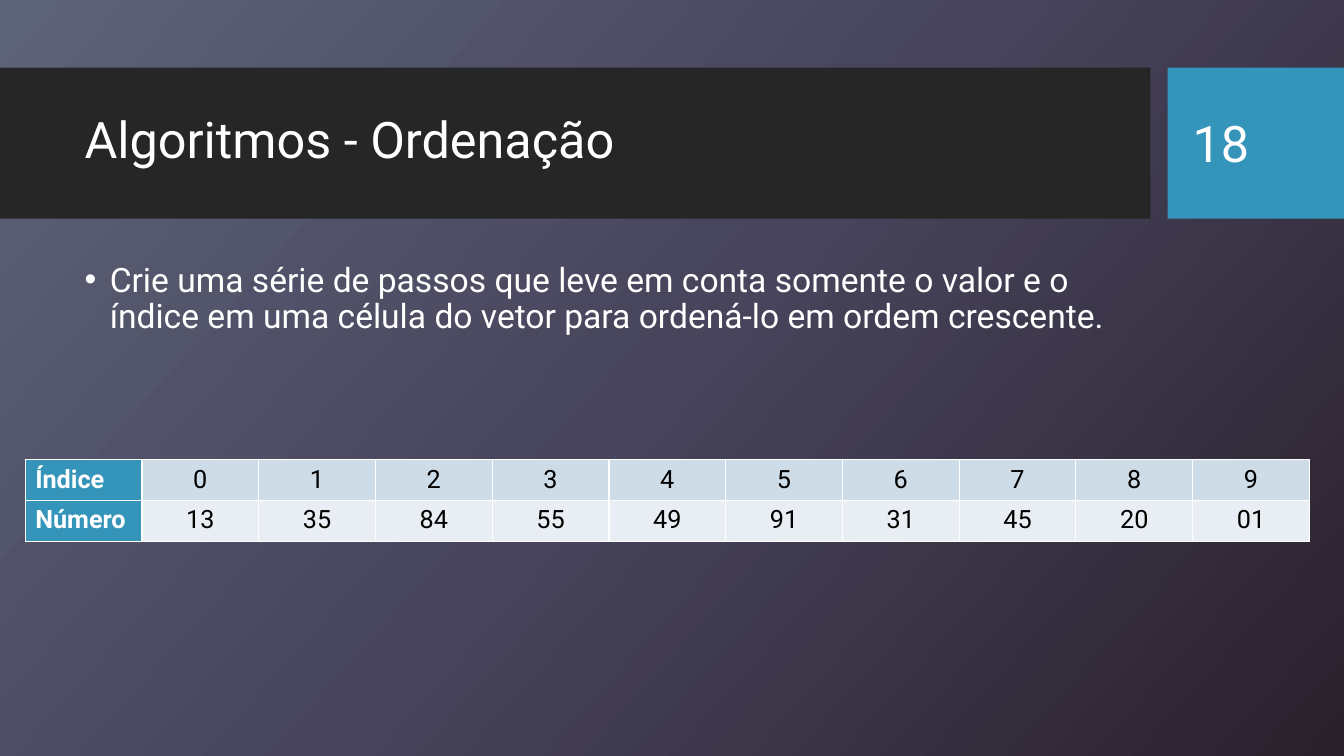
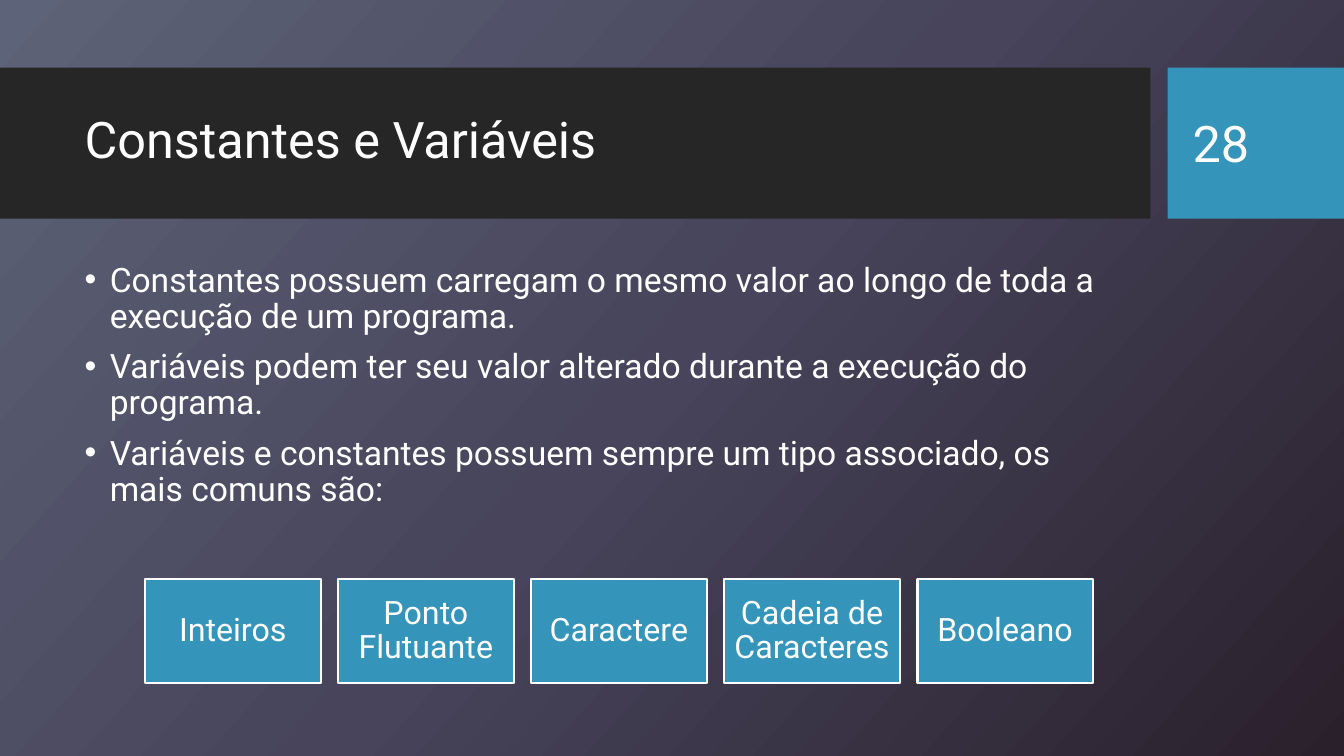
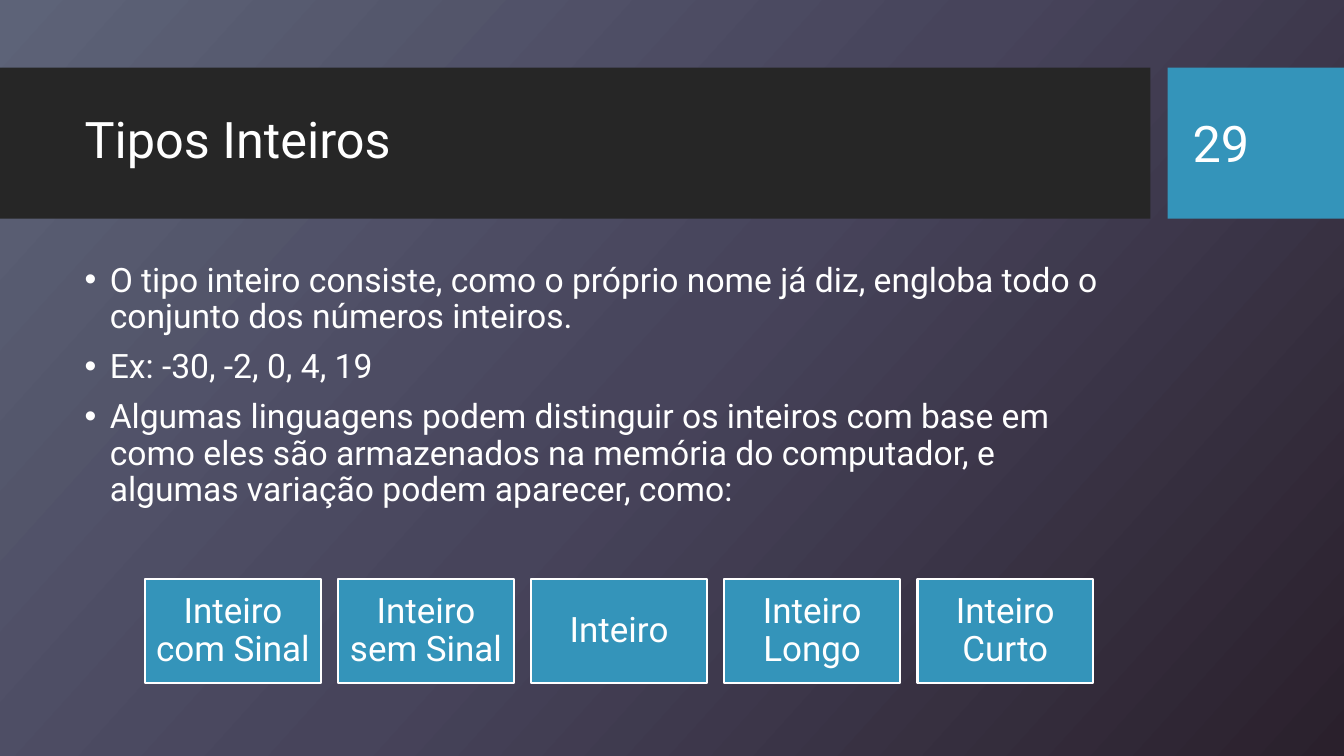
from dataclasses import dataclass

from lxml.etree import SubElement
from pptx import Presentation
from pptx.dml.color import RGBColor
from pptx.enum.shapes import MSO_SHAPE as Shape
from pptx.enum.text import MSO_ANCHOR as Anchor, PP_ALIGN as Align
from pptx.oxml.ns import qn
from pptx.presentation import Presentation as Deck
from pptx.shapes.autoshape import Shape as AutoShape
from pptx.slide import Slide
from pptx.table import _Cell as Cell
from pptx.text.text import TextFrame, _Paragraph as Paragraph
from pptx.util import Inches, Pt

FONT = "Roboto"
COLORS = {
    "band": "262626",
    "accent": "3494BA",
    "white": "FFFFFF",
    "black": "000000",
    "index row": "CEDCE7",
    "number row": "E8EEF3",
}
BACKGROUND_STOPS = [(0, "5D6378"), (50, "47445B"), (100, "2A202C")]
BACKGROUND_ANGLE = 42


@dataclass(frozen=True)
class Box:
    left: float
    top: float
    width: float
    height: float

    def lengths(self) -> tuple[Inches, Inches, Inches, Inches]:
        return Inches(self.left), Inches(self.top), Inches(self.width), Inches(self.height)


@dataclass(frozen=True)
class TableRow:
    label: str
    values: list[str]
    fill: str


@dataclass(frozen=True)
class Page:
    number: int
    title: str
    bullets: list[str]


TITLE_BAND = Box(0, 0.67, 11.41, 1.5)
NUMBER_BAND = Box(11.58, 0.67, 1.75, 1.5)
TITLE = Box(0.74, 0.82, 10.51, 1.18)
NUMBER = Box(11.73, 0.82, 1.26, 1.19)
BODY = Box(0.74, 2.56, 10.51, 3.94)
ARRAY_TABLE = Box(0.25, 4.56, 12.74, 0.81)
TYPE_ROW = Box(1.44, 5.74, 9.4, 1.04)
TYPE_WIDTH = 1.74


def rgb(color: str) -> RGBColor:
    return RGBColor.from_string(COLORS[color])


def set_background(presentation: Deck) -> None:
    """Give the slide master the diagonal gradient that every slide inherits."""
    master = presentation.slide_master
    fill = master.background.fill
    fill.gradient()
    fill.gradient_angle = 360 - BACKGROUND_ANGLE
    stops = master.element.find(".//" + qn("a:gsLst"))
    for stop in list(stops):
        stops.remove(stop)
    for position, color in BACKGROUND_STOPS:
        stop = SubElement(stops, qn("a:gs"), pos=str(position * 1000))
        SubElement(stop, qn("a:srgbClr"), val=color)


def add_run(paragraph: Paragraph, text: str, size: float,
            color: str = "white", bold: bool = False) -> None:
    run = paragraph.add_run()
    run.text = text
    run.font.name = FONT
    run.font.size = Pt(size)
    run.font.bold = bold
    run.font.color.rgb = rgb(color)


def add_text_frame(slide: Slide, box: Box, anchor: Anchor) -> TextFrame:
    frame = slide.shapes.add_textbox(*box.lengths()).text_frame
    frame.word_wrap = True
    frame.vertical_anchor = anchor
    return frame


def add_rectangle(slide: Slide, box: Box, fill: str) -> AutoShape:
    shape = slide.shapes.add_shape(Shape.RECTANGLE, *box.lengths())
    shape.shadow.inherit = False
    shape.fill.solid()
    shape.fill.fore_color.rgb = rgb(fill)
    shape.line.fill.background()
    return shape


def add_bullets(slide: Slide, bullets: list[str]) -> None:
    frame = add_text_frame(slide, BODY, Anchor.TOP)
    for index, text in enumerate(bullets):
        paragraph = frame.add_paragraph() if index else frame.paragraphs[0]
        paragraph.line_spacing = 0.9
        paragraph.space_before = Pt(10)
        properties = paragraph._p.get_or_add_pPr()
        properties.set("marL", str(Inches(0.25)))
        properties.set("indent", str(-Inches(0.25)))
        SubElement(properties, qn("a:buFont"), typeface="Arial")
        SubElement(properties, qn("a:buChar"), char="•")
        add_run(paragraph, text, 24)


def add_page(presentation: Deck, page: Page) -> Slide:
    """Add a slide with its bands, title, number and bullets."""
    slide = presentation.slides.add_slide(presentation.slide_layouts[6])
    add_rectangle(slide, TITLE_BAND, "band")
    add_rectangle(slide, NUMBER_BAND, "accent")
    title = add_text_frame(slide, TITLE, Anchor.MIDDLE).paragraphs[0]
    title.line_spacing = 0.9
    add_run(title, page.title, 36)
    number = add_text_frame(slide, NUMBER, Anchor.MIDDLE).paragraphs[0]
    add_run(number, str(page.number), 36)
    add_bullets(slide, page.bullets)
    return slide


def style_cell(cell: Cell, fill: str) -> None:
    """Give the cell white borders and a plain fill."""
    properties = cell._tc.get_or_add_tcPr()
    for side in ("lnL", "lnR", "lnT", "lnB"):
        line = SubElement(properties, qn(f"a:{side}"), w=str(Pt(1)))
        solid = SubElement(line, qn("a:solidFill"))
        SubElement(solid, qn("a:srgbClr"), val=COLORS["white"])
    cell.fill.solid()
    cell.fill.fore_color.rgb = rgb(fill)


def add_array_table(slide: Slide, rows: list[TableRow]) -> None:
    columns = len(rows[0].values) + 1
    table = slide.shapes.add_table(len(rows), columns, *ARRAY_TABLE.lengths()).table
    table.first_row = False
    table.horz_banding = False
    for row_index, row in enumerate(rows):
        for column, text in enumerate([row.label, *row.values]):
            is_label = column == 0
            cell = table.cell(row_index, column)
            style_cell(cell, "accent" if is_label else row.fill)
            paragraph = cell.text_frame.paragraphs[0]
            paragraph.alignment = Align.LEFT if is_label else Align.CENTER
            add_run(paragraph, text, 18, "white" if is_label else "black", is_label)


def add_type_boxes(slide: Slide, names: list[str], size: float) -> None:
    """Spread equal boxes over the type row, one for each name."""
    step = (TYPE_ROW.width - TYPE_WIDTH) / (len(names) - 1)
    for index, name in enumerate(names):
        box = Box(TYPE_ROW.left + index * step, TYPE_ROW.top, TYPE_WIDTH, TYPE_ROW.height)
        shape = add_rectangle(slide, box, "accent")
        shape.line.color.rgb = rgb("white")
        shape.line.width = Pt(1.5)
        frame = shape.text_frame
        frame.word_wrap = True
        frame.vertical_anchor = Anchor.MIDDLE
        frame.margin_left = frame.margin_right = Inches(0.1)
        frame.margin_top = frame.margin_bottom = Inches(0.1)
        paragraph = frame.paragraphs[0]
        paragraph.alignment = Align.CENTER
        paragraph.line_spacing = 0.9
        add_run(paragraph, name, size)


def main() -> None:
    presentation = Presentation()
    presentation.slide_width = Inches(13.33)
    presentation.slide_height = Inches(7.5)
    set_background(presentation)

    sorting = add_page(presentation, Page(18, "Algoritmos - Ordenação", [
        "Crie uma série de passos que leve em conta somente o valor e o índice "
        "em uma célula do vetor para ordená-lo em ordem crescente.",
    ]))
    add_array_table(sorting, [
        TableRow("Índice", [str(index) for index in range(10)], "index row"),
        TableRow("Número", "13 35 84 55 49 91 31 45 20 01".split(), "number row"),
    ])

    variables = add_page(presentation, Page(28, "Constantes e Variáveis", [
        "Constantes possuem carregam o mesmo valor ao longo de toda a execução de um programa.",
        "Variáveis podem ter seu valor alterado durante a execução do programa.",
        "Variáveis e constantes possuem sempre um tipo associado, os mais comuns são:",
    ]))
    add_type_boxes(variables, [
        "Inteiros", "Ponto Flutuante", "Caractere", "Cadeia de Caracteres", "Booleano",
    ], 23)

    integers = add_page(presentation, Page(29, "Tipos Inteiros", [
        "O tipo inteiro consiste, como o próprio nome já diz, engloba todo o conjunto "
        "dos números inteiros.",
        "Ex: -30, -2, 0, 4, 19",
        "Algumas linguagens podem distinguir os inteiros com base em como eles são "
        "armazenados na memória do computador, e algumas variação podem aparecer, como:",
    ]))
    add_type_boxes(integers, [
        "Inteiro com Sinal", "Inteiro sem Sinal", "Inteiro", "Inteiro Longo", "Inteiro Curto",
    ], 25)

    presentation.save("out.pptx")


if __name__ == "__main__":
    main()
